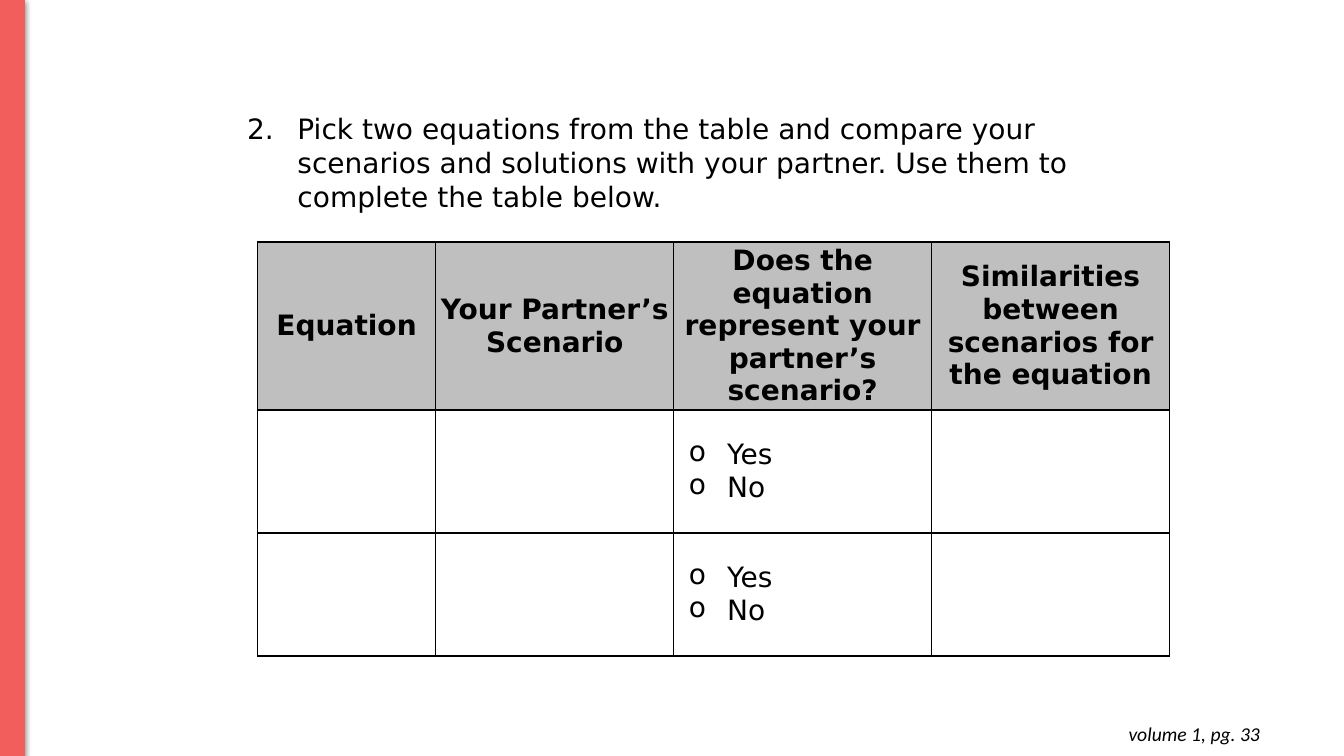
"""Build the partner comparison slide: a numbered task above a response table."""
from lxml import etree
from pptx import Presentation
from pptx import util as u
from pptx.dml.color import RGBColor
from pptx.enum import shapes, text
from pptx.oxml import ns, parse_xml

WIDTH, HEIGHT = u.Inches(13.33), u.Inches(7.5)
BLACK, GREY, CORAL = "000000", "BFBFBF", "F25E5B"
BODY = {"name": "DejaVu Sans", "size": u.Pt(20), "bold": False}
HEADING = {**BODY, "bold": True}
REFERENCE = {"name": "Calibri", "size": u.Pt(14), "italic": True}
COLUMNS = [13.28, 17.7, 19.2, 17.7]
ROWS = [22.13, 16.27, 16.27]
HEADERS = [
    "Equation",
    "Your Partner’s Scenario",
    "Does the equation represent your partner’s scenario?",
    "Similarities between scenarios for the equation",
]
CHOICES = ["Yes", "No"]
TASK = ("Pick two equations from the table and compare your scenarios and solutions "
        "with your partner. Use them to complete the table below.")


def color(value):
    """Turn a hex string into a colour."""
    return RGBColor.from_string(value)


def across(share):
    """Give a percentage of the slide width."""
    return u.Emu(int(WIDTH * share / 100))


def down(share):
    """Give a percentage of the slide height."""
    return u.Emu(int(HEIGHT * share / 100))


def area(left, top, width, height):
    """Give a rectangle from percentages of the slide."""
    return across(left), down(top), across(width), down(height)


def apply(target, values):
    """Set each named attribute on the target."""
    for name, value in values.items():
        setattr(target, name, value)


def element(parent, tag, **attributes):
    """Append a DrawingML element to the parent."""
    return etree.SubElement(parent, ns.qn(f"a:{tag}"), attributes)


def write(para, words, style, align=text.PP_ALIGN.LEFT):
    """Put one styled span in a paragraph."""
    apply(para, {"alignment": align, "space_before": u.Pt(0)})
    span = para.add_run()
    span.text = words
    apply(span.font, style)
    span.font.color.rgb = color(BLACK)


def add_marker(para, indent, tag, **attributes):
    """Give a paragraph a hanging indent and a black marker."""
    props = para._p.get_or_add_pPr()
    props.set("marL", str(u.Inches(indent)))
    props.set("indent", str(-u.Inches(indent)))
    element(element(props, "buClr"), "srgbClr", val=BLACK)
    element(props, tag, **attributes)


def add_bar(page):
    """Draw the coral edge with its soft shadow."""
    bar = page.shapes.add_shape(shapes.MSO_SHAPE.RECTANGLE, *area(0, 0, 1.8, 100))
    bar.shadow.inherit = False
    bar.fill.solid()
    bar.fill.fore_color.rgb = color(CORAL)
    bar.line.color.rgb = color(CORAL)
    bar.line.width = u.Pt(0.75)
    effects = bar._element.spPr.find(ns.qn("a:effectLst"))
    shadow = element(effects, "outerShdw", blurRad=str(u.Pt(4.5)),
                     dist=str(u.Pt(1.5)), dir="5400000", rotWithShape="0")
    element(element(shadow, "srgbClr", val=BLACK), "alpha", val="50000")


def add_task(page):
    """Fill the body placeholder with the numbered task."""
    body = page.placeholders[1]
    apply(body, dict(zip(("left", "top", "width", "height"),
                         area(17.63, 14.13, 68.33, 14.8))))
    frame = body.text_frame
    apply(frame, {"auto_size": text.MSO_AUTO_SIZE.NONE, "word_wrap": True,
                  "vertical_anchor": text.MSO_ANCHOR.TOP})
    add_marker(frame.paragraphs[0], 0.5, "buAutoNum", type="arabicPeriod", startAt="2")
    write(frame.paragraphs[0], TASK, BODY)


def add_reference(page):
    """Add the right-aligned page reference."""
    frame = page.shapes.add_textbox(*area(72.9, 94.13, 21.6, 5.87)).text_frame
    frame.word_wrap = True
    apply(frame, {f"margin_{side}": u.Inches(0.1)
                  for side in ("left", "right", "top", "bottom")})
    write(frame.paragraphs[0], "volume 1, pg. 33", REFERENCE, text.PP_ALIGN.RIGHT)


def format_cell(cell, fill, side, edge):
    """Set the borders, fill, anchor and margins of a cell."""
    props = cell._tc.get_or_add_tcPr()
    for tag in ("lnL", "lnR", "lnT", "lnB"):
        props.append(parse_xml(
            f'<a:{tag} {ns.nsdecls("a")} w="{u.Pt(1)}"><a:solidFill>'
            f'<a:srgbClr val="{BLACK}"/></a:solidFill></a:{tag}>'))
    if fill:
        cell.fill.solid()
        cell.fill.fore_color.rgb = color(fill)
    else:
        cell.fill.background()
    apply(cell, {"vertical_anchor": text.MSO_ANCHOR.MIDDLE,
                 "margin_left": u.Inches(side), "margin_right": u.Inches(side),
                 "margin_top": u.Inches(edge), "margin_bottom": u.Inches(edge)})


def add_choices(cell):
    """List the answer choices in a cell."""
    frame = cell.text_frame
    for index, choice in enumerate(CHOICES):
        para = frame.add_paragraph() if index else frame.paragraphs[0]
        add_marker(para, 0.38, "buChar", char="o")
        write(para, choice, BODY)


def add_response_table(page):
    """Add the table with headings and two response rows."""
    table = page.shapes.add_table(
        len(ROWS), len(COLUMNS), *area(19.15, 32, sum(COLUMNS), sum(ROWS))).table
    table.horz_banding = False
    for column, share in zip(table.columns, COLUMNS):
        column.width = across(share)
    for row, share in zip(table.rows, ROWS):
        row.height = down(share)
    for index, header in enumerate(HEADERS):
        heading, *answers = [table.cell(row, index) for row in range(len(ROWS))]
        format_cell(heading, GREY, 0.04, 0)
        write(heading.text_frame.paragraphs[0], header, HEADING, text.PP_ALIGN.CENTER)
        for answer in answers:
            format_cell(answer, None, 0.15, 0.15)
            if header.endswith("?"):
                add_choices(answer)


def main():
    """Build and save the deck."""
    deck = Presentation()
    apply(deck, {"slide_width": WIDTH, "slide_height": HEIGHT})
    page = deck.slides.add_slide(deck.slide_layouts[1])
    title = page.shapes.title._element
    title.getparent().remove(title)
    add_bar(page)
    add_reference(page)
    add_task(page)
    add_response_table(page)
    deck.save("out.pptx")


if __name__ == "__main__":
    main()
